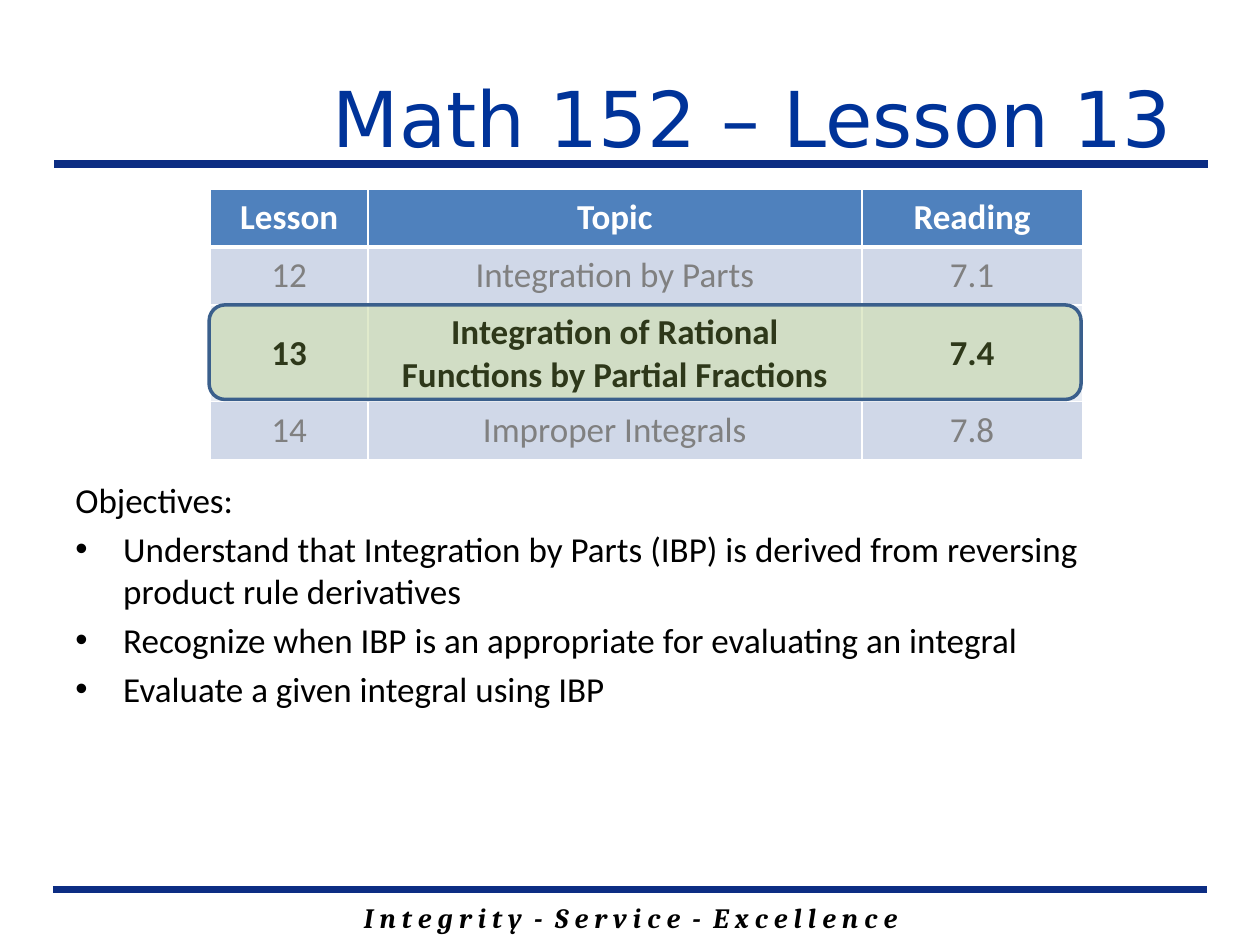
from lxml import etree
from pptx import Presentation
from pptx.dml.color import RGBColor
from pptx.enum.shapes import MSO_CONNECTOR, MSO_SHAPE
from pptx.enum.text import MSO_ANCHOR, PP_ALIGN
from pptx.oxml.ns import qn
from pptx.util import Inches, Pt

LEFT, CENTER, RIGHT = PP_ALIGN.LEFT, PP_ALIGN.CENTER, PP_ALIGN.RIGHT
TOP, MIDDLE = MSO_ANCHOR.TOP, MSO_ANCHOR.MIDDLE
STRAIGHT = MSO_CONNECTOR.STRAIGHT
ROUNDED = MSO_SHAPE.ROUNDED_RECTANGLE

NAVY, BLUE, GREEN, OUTLINE = "0C2D83", "003399", "9BBB59", "3A5F8C"
BLACK, WHITE, GRAY = "000000", "FFFFFF", "808080"
HEADER_FILL, DARK_BAND, LIGHT_BAND = "4F81BD", "D0D8E8", "E9EDF4"

COLUMN_WIDTHS = [1.25, 3.92, 1.75]
LESSONS = [
    (["Lesson", "Topic", "Reading"], 0.46, HEADER_FILL, WHITE, True),
    (["12", "Integration by Parts", "7.1"], 0.46, DARK_BAND, GRAY, False),
    (["13", "Integration of Rational Functions by Partial Fractions", "7.4"],
     0.76, LIGHT_BAND, BLACK, True),
    (["14", "Improper Integrals", "7.8"], 0.46, DARK_BAND, GRAY, False),
]
OBJECTIVES = [
    "Understand that Integration by Parts (IBP) is derived from reversing "
    "product rule derivatives",
    "Recognize when IBP is an appropriate for evaluating an integral",
    "Evaluate a given integral using IBP",
]


def rgb(color):
    """Turn a hex string into a colour."""
    return RGBColor.from_string(color)


def add_span(para, text, size, font, color, bold=False, italic=False):
    """Add one formatted run to a paragraph."""
    span = para.add_run()
    span.text = text
    span.font.size = Pt(size)
    span.font.name = font
    span.font.bold = bold
    span.font.italic = italic
    span.font.color.rgb = rgb(color)


def add_box(page, left, top, width, height, anchor=TOP, align=LEFT):
    """Add a wrapping text box and return its text frame."""
    box = page.shapes.add_textbox(
        Inches(left), Inches(top), Inches(width), Inches(height))
    frame = box.text_frame
    frame.word_wrap = True
    frame.vertical_anchor = anchor
    frame.paragraphs[0].alignment = align
    return frame


def add_rule(page, left, top, width):
    """Add a thick horizontal line."""
    rule = page.shapes.add_connector(
        STRAIGHT, Inches(left), Inches(top), Inches(left + width), Inches(top))
    rule.line.color.rgb = rgb(NAVY)
    rule.line.width = Pt(4.5)
    etree.SubElement(rule._element.spPr, qn("a:effectLst"))


def set_bullet(para):
    """Give a paragraph a hanging round bullet."""
    props = para._p.get_or_add_pPr()
    props.set("marL", str(Inches(0.38)))
    props.set("indent", str(-Inches(0.38)))
    etree.SubElement(props, qn("a:buFont")).set("typeface", "Arial")
    etree.SubElement(props, qn("a:buChar")).set("char", "•")


def add_objectives(page):
    """Add the heading and the bulleted objectives."""
    frame = add_box(page, 0.5, 3.75, 9, 2.95)
    add_span(frame.paragraphs[0], "Objectives:", 20, "Calibri", BLACK)
    for objective in OBJECTIVES:
        para = frame.add_paragraph()
        set_bullet(para)
        para.space_before = Pt(4)
        add_span(para, objective, 20, "Calibri", BLACK)


def set_borders(cell, top, bottom):
    """Draw white cell borders with the given top and bottom widths."""
    props = cell._tc.get_or_add_tcPr()
    for side, width in (("L", 1), ("R", 1), ("T", top), ("B", bottom)):
        border = etree.SubElement(props, qn(f"a:ln{side}"), w=str(Pt(width)))
        fill = etree.SubElement(border, qn("a:solidFill"))
        etree.SubElement(fill, qn("a:srgbClr"), val=WHITE)


def add_lesson_table(page):
    """Add the table of lessons, topics and readings."""
    table = page.shapes.add_table(
        len(LESSONS), len(COLUMN_WIDTHS), Inches(1.67), Inches(1.5),
        Inches(sum(COLUMN_WIDTHS)), Inches(2.14)).table
    for column, width in zip(table.columns, COLUMN_WIDTHS):
        column.width = Inches(width)
    for index, (texts, height, fill, color, bold) in enumerate(LESSONS):
        table.rows[index].height = Inches(height)
        for cell, text in zip(table.rows[index].cells, texts):
            set_borders(cell, 3 if index == 1 else 1, 3 if index == 0 else 1)
            cell.fill.solid()
            cell.fill.fore_color.rgb = rgb(fill)
            cell.vertical_anchor = MIDDLE
            para = cell.text_frame.paragraphs[0]
            para.alignment = CENTER
            add_span(para, text, 20, "Calibri", color, bold)


def add_highlight(page):
    """Add the translucent frame around the current lesson."""
    frame = page.shapes.add_shape(
        ROUNDED, Inches(1.66), Inches(2.42), Inches(6.92), Inches(0.75))
    frame.shadow.inherit = False
    frame.fill.solid()
    frame.fill.fore_color.rgb = rgb(GREEN)
    tint = frame._element.spPr.find(qn("a:solidFill")).find(qn("a:srgbClr"))
    etree.SubElement(tint, qn("a:alpha"), val="30000")
    frame.line.color.rgb = rgb(OUTLINE)
    frame.line.width = Pt(2)


def main():
    """Build the lesson slide and save it."""
    deck = Presentation()
    deck.slide_width, deck.slide_height = Inches(10), Inches(7.5)
    page = deck.slides.add_slide(deck.slide_layouts[6])

    motto = add_box(page, 1.42, 7.1, 7.17, 0.37, align=CENTER)
    add_span(motto.paragraphs[0],
             "I n t e g r i t y  -  S e r v i c e  -  E x c e l l e n c e",
             16, "Cambria", BLACK, bold=True, italic=True)
    add_rule(page, 0.42, 7.06, 9.16)
    add_rule(page, 0.43, 1.3, 9.16)

    title = add_box(page, 1.8, 0.3, 7.8, 1.25, MIDDLE, RIGHT)
    add_span(title.paragraphs[0], "Math 152 – Lesson 13 ", 44, "DejaVu Sans", BLUE)
    add_objectives(page)
    add_lesson_table(page)
    add_highlight(page)
    deck.save("out.pptx")


if __name__ == "__main__":
    main()
